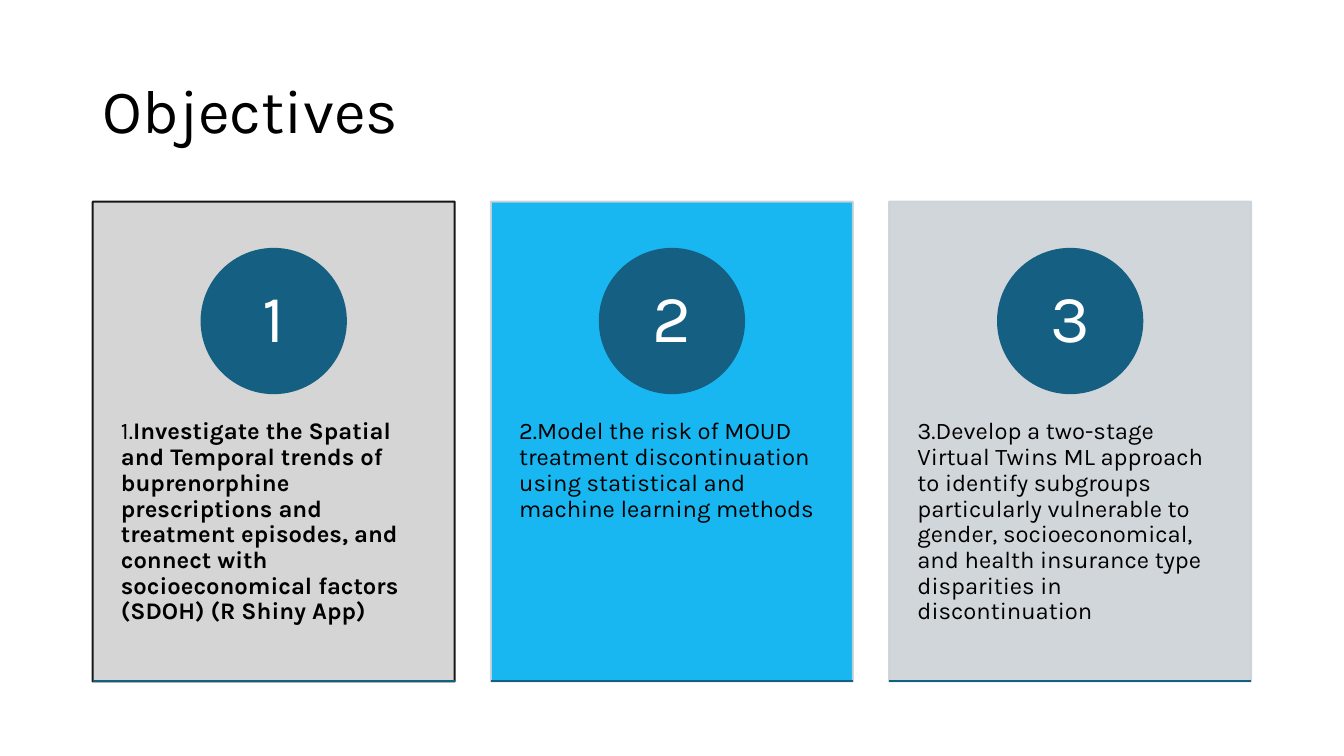
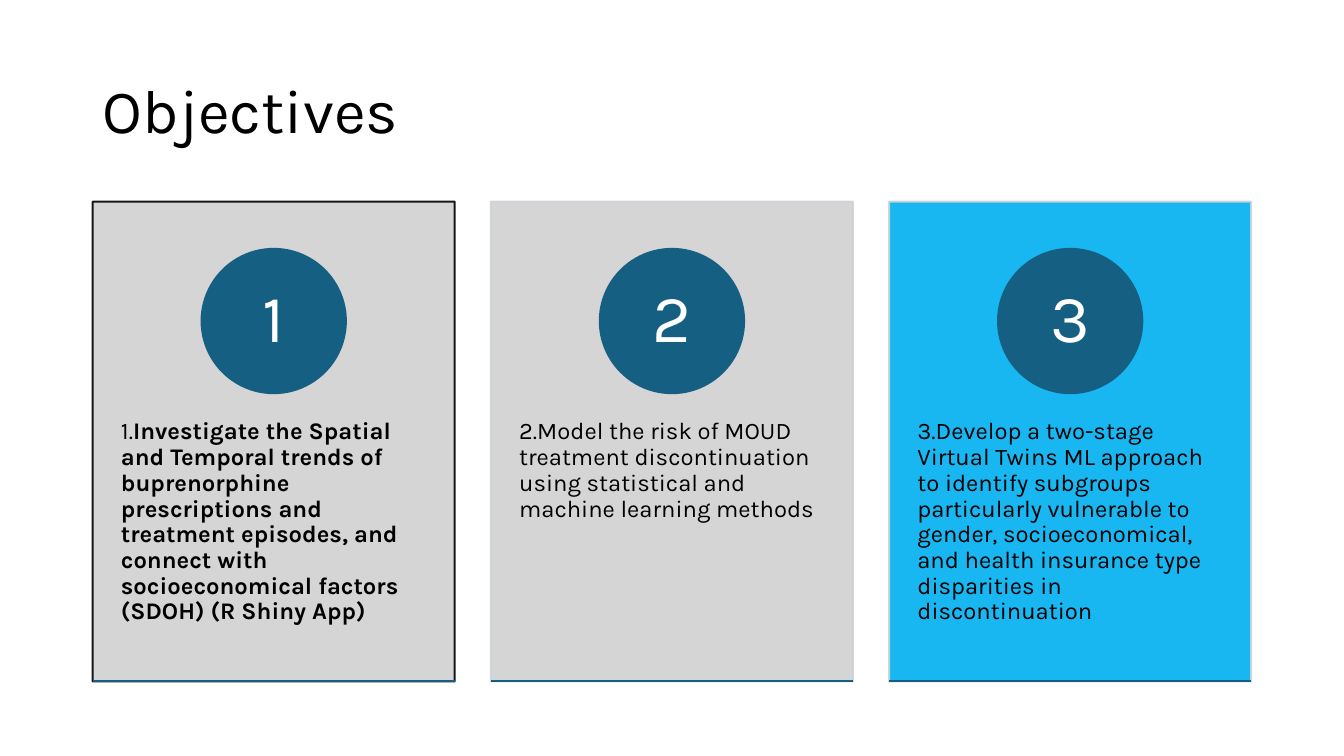
from dataclasses import dataclass
from typing import NamedTuple

import pptx
import pptx.dml.color
import pptx.enum.shapes
import pptx.enum.text
import pptx.oxml.ns
import pptx.util
from lxml import etree

HUES = {
    "black": "000000",
    "white": "FFFFFF",
    "grey": "D1D1D1",
    "mist": "CCD2D8",
    "sky": "00B0F0",
    "teal": "156082",
}
FONT = "Karla"
WIDE = pptx.util.Inches(13.33)
HIGH = pptx.util.Inches(7.5)
LEFT, STEP, SPAN = 6.9, 29.63, 26.93
TOP, TALL = 26.67, 63.47
DISC = 10.73
ALIGN = pptx.enum.text.PP_ALIGN
ANCHOR = pptx.enum.text.MSO_ANCHOR
SHAPE = pptx.enum.shapes.MSO_SHAPE


class Box(NamedTuple):
    left: float
    top: float
    width: float
    height: float

    def scale(self) -> tuple[int, int, int, int]:
        return (
            int(WIDE * self.left / 100),
            int(HIGH * self.top / 100),
            int(WIDE * self.width / 100),
            int(HIGH * self.height / 100),
        )


@dataclass(frozen=True)
class Goal:
    lead: str
    text: str
    bold: bool = False


@dataclass(frozen=True)
class Look:
    fill: str
    edge: str


GOALS = [
    Goal("1.", "Investigate the Spatial and Temporal trends of buprenorphine "
         "prescriptions and treatment episodes, and connect with "
         "socioeconomical factors (SDOH) (R Shiny App)", bold=True),
    Goal("2.", "Model the risk of MOUD treatment discontinuation using "
         "statistical and machine learning methods"),
    Goal("3.", "Develop a two-stage Virtual Twins ML approach to identify "
         "subgroups particularly vulnerable to gender, socioeconomical, and "
         "health insurance type disparities in discontinuation"),
]
FIRST = Look("grey", "black")
DECK = [
    [FIRST, Look("sky", "mist"), Look("mist", "mist")],
    [FIRST, Look("grey", "mist"), Look("sky", "mist")],
]


def tint(name: str) -> pptx.dml.color.RGBColor:
    return pptx.dml.color.RGBColor.from_string(HUES[name])


def fade(shape, share: int) -> None:
    for hue in shape._element.spPr.iter(pptx.oxml.ns.qn("a:srgbClr")):
        etree.SubElement(hue, pptx.oxml.ns.qn("a:alpha"), val=str(share * 1000))


def write(frame, text: str, *, size: float, hue: str = "black",
          bold: bool = False, align=ALIGN.LEFT, anchor=ANCHOR.TOP,
          inset: tuple[float, float] = (0.1, 0.05)) -> None:
    frame.word_wrap = True
    frame.vertical_anchor = anchor
    frame.margin_left = frame.margin_right = pptx.util.Inches(inset[0])
    frame.margin_top = frame.margin_bottom = pptx.util.Inches(inset[1])
    para = frame.paragraphs[0]
    para.alignment = align
    para.line_spacing = 0.9
    run = para.add_run()
    run.text = text
    run.font.name = FONT
    run.font.size = pptx.util.Pt(size)
    run.font.bold = bold
    run.font.color.rgb = tint(hue)


def draw(slide, kind, box: Box, look: Look):
    shape = slide.shapes.add_shape(kind, *box.scale())
    shape.shadow.inherit = False
    shape.fill.solid()
    shape.fill.fore_color.rgb = tint(look.fill)
    shape.line.color.rgb = tint(look.edge)
    shape.line.width = pptx.util.Pt(1.5)
    return shape


def rule(slide, box: Box) -> None:
    left, top, width, _ = box.scale()
    line = slide.shapes.add_connector(
        pptx.enum.shapes.MSO_CONNECTOR.STRAIGHT, left, top, left + width, top)
    line.line.color.rgb = tint("teal")
    line.line.width = pptx.util.Pt(1.5)
    etree.SubElement(line._element.spPr, pptx.oxml.ns.qn("a:effectLst"))


def card(slide, index: int, goal: Goal, look: Look) -> None:
    left = LEFT + index * STEP
    fade(draw(slide, SHAPE.RECTANGLE, Box(left, TOP, SPAN, TALL), look), 90)

    body = slide.shapes.add_textbox(*Box(left, 50.67, SPAN, 38.13).scale())
    form = {"size": 17, "inset": (0.28, 0.36)}
    if goal.bold:
        write(body.text_frame, goal.lead, **form)
        write(body.text_frame, goal.text, bold=True, **form)
    else:
        write(body.text_frame, goal.lead + goal.text, **form)

    spot = Box(left + (SPAN - DISC) / 2, 32.93, DISC, DISC * WIDE / HIGH)
    disc = draw(slide, SHAPE.OVAL, spot, Look("teal", "teal"))
    write(disc.text_frame, str(index + 1), size=48, hue="white",
          align=ALIGN.CENTER, anchor=ANCHOR.MIDDLE, inset=(0.11, 0.01))
    rule(slide, Box(left, TOP + TALL, SPAN, 0))


def build(deck, layout, looks: list[Look]) -> None:
    slide = deck.slides.add_slide(layout)
    write(slide.shapes.title.text_frame, "Objectives", size=44,
          anchor=ANCHOR.MIDDLE)
    for index, (goal, look) in enumerate(zip(GOALS, looks)):
        card(slide, index, goal, look)


def main() -> None:
    deck = pptx.Presentation()
    deck.slide_width, deck.slide_height = WIDE, HIGH
    layout = deck.slide_layouts.get_by_name("Title Only")
    head = layout.placeholders[0]
    head.left, head.top, head.width, head.height = Box(
        LEFT, 5.33, 86.27, 19.33).scale()
    for looks in DECK:
        build(deck, layout, looks)
    deck.save("out.pptx")


if __name__ == "__main__":
    main()
